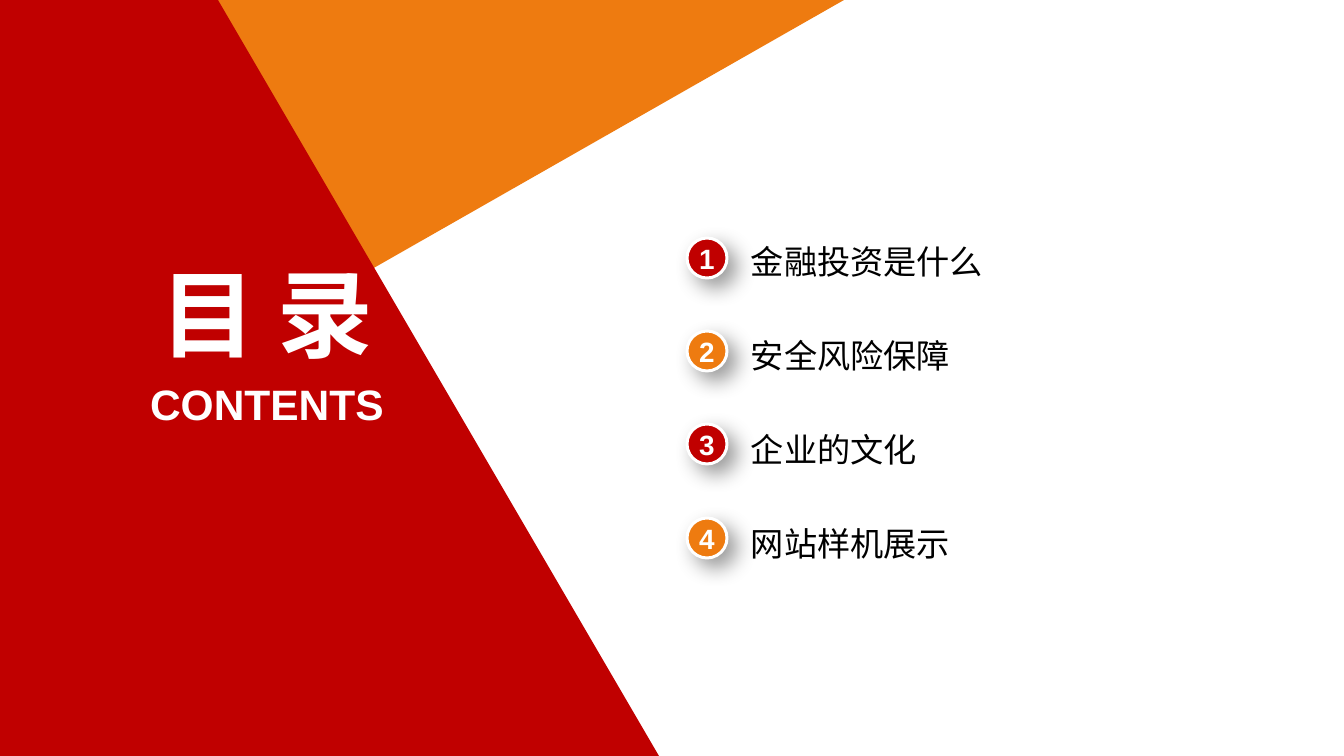
from lxml import etree
from pptx import Presentation
from pptx.dml.color import RGBColor
from pptx.enum.shapes import MSO_SHAPE
from pptx.enum.text import MSO_ANCHOR, PP_ALIGN
from pptx.oxml import parse_xml
from pptx.oxml.ns import nsdecls, qn
from pptx.util import Pt

PX = 9565
RED = RGBColor(0xC0, 0x00, 0x00)
ORANGE = RGBColor(0xEE, 0x7B, 0x10)
WHITE = RGBColor(0xFF, 0xFF, 0xFF)
BLACK = RGBColor(0x00, 0x00, 0x00)
LATIN_FONT = "Arial"
CHINESE_FONT = "Noto Sans CJK SC"
OVAL = MSO_SHAPE.OVAL
MIDDLE = MSO_ANCHOR.MIDDLE
LEFT, CENTER = PP_ALIGN.LEFT, PP_ALIGN.CENTER
SHADOW = (
    f'<a:effectLst {nsdecls("a")}>'
    '<a:outerShdw blurRad="203200" dist="114300" dir="2700000" algn="tl" rotWithShape="0">'
    '<a:srgbClr val="000000"><a:alpha val="40000"/></a:srgbClr>'
    '</a:outerShdw></a:effectLst>'
)
TOPICS = ["金融投资是什么", "安全风险保障", "企业的文化", "网站样机展示"]


class ContentsPage:
    """Draws the elements of a contents page in one shared style."""

    def __init__(self, deck):
        self.page = deck.slides.add_slide(deck.slide_layouts[6])

    def panel(self, points, color):
        builder = self.page.shapes.build_freeform(*points[0], scale=PX)
        builder.add_line_segments(points[1:], close=True)
        shape = builder.convert_to_shape()
        shape.shadow.inherit = False
        shape.fill.solid()
        shape.fill.fore_color.rgb = color
        shape.line.fill.background()

    def set_text(self, shape, text, size, color, bold, align):
        frame = shape.text_frame
        frame.margin_left = frame.margin_right = 0
        frame.margin_top = frame.margin_bottom = 0
        frame.vertical_anchor = MIDDLE
        frame.word_wrap = True
        frame.text = text
        para = frame.paragraphs[0]
        para.alignment = align
        span = para.runs[0]
        span.font.name = LATIN_FONT
        span.font.size = Pt(size)
        span.font.bold = bold
        span.font.color.rgb = color
        east_asian = etree.SubElement(span.font._element, qn("a:ea"))
        east_asian.set("typeface", CHINESE_FONT)

    def label(self, left, top, width, height, text, size, color=BLACK, bold=False, align=LEFT):
        box = self.page.shapes.add_textbox(left * PX, top * PX, width * PX, height * PX)
        self.set_text(box, text, size, color, bold, align)

    def badge(self, left, top, diameter, text, color):
        circle = self.page.shapes.add_shape(
            OVAL, left * PX, top * PX, diameter * PX, diameter * PX)
        circle.fill.solid()
        circle.fill.fore_color.rgb = color
        circle.line.color.rgb = WHITE
        circle.line.width = Pt(2.25)
        circle._element.spPr.append(parse_xml(SHADOW))
        self.set_text(circle, text, 21, WHITE, True, CENTER)


def main():
    deck = Presentation()
    deck.slide_width, deck.slide_height = 1344 * PX, 756 * PX
    contents = ContentsPage(deck)
    contents.panel([(0, 0), (844, 0), (0, 481)], ORANGE)
    contents.panel([(0, 0), (218, 0), (659, 756), (0, 756)], RED)
    for index, topic in enumerate(TOPICS):
        contents.badge(687, 238 + index * 280 // 3, 40, str(index + 1), (RED, ORANGE)[index % 2])
        contents.label(751, 241 + index * 94, 235, 40, topic, 25)
    contents.label(130, 254, 274, 116, "目 录", 72, WHITE, True, CENTER)
    contents.label(145, 378, 244, 52, "CONTENTS", 32, WHITE, True, CENTER)
    deck.save("out.pptx")


if __name__ == "__main__":
    main()
